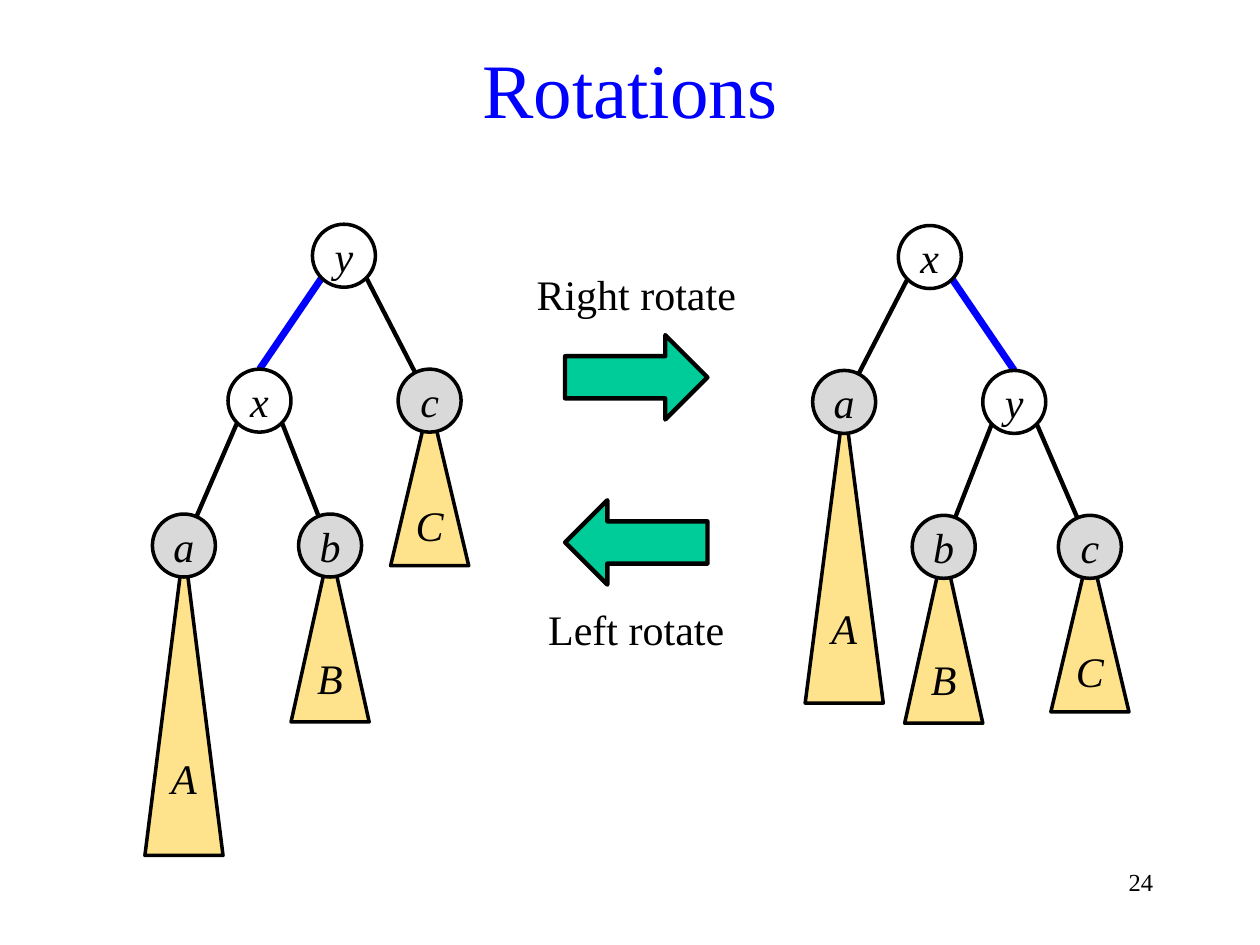
from dataclasses import dataclass

from lxml.etree import SubElement
from pptx import Presentation
from pptx.dml.color import RGBColor
from pptx.enum.shapes import MSO_CONNECTOR, MSO_SHAPE
from pptx.enum.text import MSO_ANCHOR, PP_ALIGN
from pptx.oxml.ns import qn
from pptx.util import Inches, Pt


@dataclass(frozen=True)
class Theme:
    """Colours, type sizes and line widths of the slide."""
    font: str = "Times New Roman"
    ink: RGBColor = RGBColor(0, 0, 0)
    blue: RGBColor = RGBColor(0, 0, 255)
    green: RGBColor = RGBColor(0, 0xCC, 0x99)
    gold: RGBColor = RGBColor(0xFF, 0xC0, 0)
    gray: RGBColor = RGBColor(0xD9, 0xD9, 0xD9)
    alpha: int = 45
    head: int = 44
    body: int = 24
    foot: int = 14
    thin: float = 2
    edge: float = 2.5
    bold: float = 4


THEME = Theme()
NODE = 0.5
BASE = 0.62


def write(shape, text, size=THEME.body, color=THEME.ink, align=PP_ALIGN.CENTER,
          anchor=MSO_ANCHOR.MIDDLE, slant=False, wrap=True):
    """Put one formatted run into a shape."""
    frame = shape.text_frame
    frame.word_wrap = wrap
    frame.vertical_anchor = anchor
    para = frame.paragraphs[0]
    para.alignment = align
    run = para.add_run()
    run.text = text
    font = run.font
    font.name, font.size, font.italic = THEME.font, Pt(size), slant
    font.color.rgb = color


def draw(slide, kind, box, fill, width):
    """Add an outlined preset shape, hollow when fill is None."""
    shape = slide.shapes.add_shape(kind, *map(Inches, box))
    shape.shadow.inherit = False
    if fill is None:
        shape.fill.background()
    else:
        shape.fill.solid()
        shape.fill.fore_color.rgb = fill
    shape.line.color.rgb = THEME.ink
    shape.line.width = Pt(width)
    return shape


def label(slide, box, text, **style):
    """Add a text box holding one line."""
    write(slide.shapes.add_textbox(*map(Inches, box)), text,
          anchor=MSO_ANCHOR.TOP, **style)


def link(slide, start, end, color, width):
    """Join two points with a straight line."""
    line = slide.shapes.add_connector(
        MSO_CONNECTOR.STRAIGHT, *map(Inches, (*start, *end)))
    line.line.color.rgb = color
    line.line.width = Pt(width)
    SubElement(line._element.spPr, qn("a:effectLst"))


def wedge(slide, spot, text, height):
    """Hang a clear gold subtree from a node centre."""
    x, y = spot
    shape = draw(slide, MSO_SHAPE.ISOSCELES_TRIANGLE,
                 (x - BASE / 2, y, BASE, height), THEME.gold, THEME.thin)
    tint = shape._element.spPr.find(qn("a:solidFill"))[0]
    SubElement(tint, qn("a:alpha"), val=str(THEME.alpha * 1000))
    write(shape, text, slant=True, wrap=False)


def node(slide, spot, text, fill):
    """Centre a named circle on a point."""
    x, y = spot
    shape = draw(slide, MSO_SHAPE.OVAL,
                 (x - NODE / 2, y - NODE / 2, NODE, NODE), fill, THEME.thin)
    frame = shape.text_frame
    frame.margin_left = frame.margin_right = 0
    frame.margin_top = frame.margin_bottom = 0
    write(shape, text, slant=True, wrap=False)


def tree(slide, box, names, depths, flip=False):
    """Draw root, pivot, outer, inner and far nodes, mirrored on request."""
    left, top, width, _ = box
    plan = ((1.58, 0), (0.91, 1), (0.31, 2), (1.47, 2), (2.26, 1))
    spots = [(left + (width - x if flip else x), top + NODE / 2 + 1.15 * row)
             for x, row in plan]
    root, pivot, outer, inner, far = spots
    for spot, name, depth in zip(spots[2:], names[2:], depths):
        wedge(slide, spot, name.upper(), depth)
    for high, low in ((root, pivot), (root, far), (pivot, outer), (pivot, inner)):
        main = low is pivot
        side = 0.18 if low[0] > high[0] else -0.18
        start = (high[0] + side, high[1] + 0.18)
        end = (low[0], low[1] - (NODE / 2 if main else 0))
        link(slide, start, end, THEME.blue if main else THEME.ink,
             THEME.bold if main else THEME.edge)
    for rank, (spot, name) in enumerate(zip(spots, names)):
        node(slide, spot, name, THEME.gray if rank > 1 else None)


def turns(slide, box):
    """Draw the two opposed arrows with their labels."""
    left, top, width, height = box
    long, tall, line = 1.13, 0.67, 0.5
    rows = (("Right rotate", 0, 0.58, 0),
            ("Left rotate", height - line, 1.89, 180))
    for text, drop, fall, angle in rows:
        arrow = draw(slide, MSO_SHAPE.RIGHT_ARROW,
                     (left + (width - long) / 2, top + fall, long, tall),
                     THEME.green, THEME.edge)
        arrow.rotation = angle
        label(slide, (left, top + drop, width, line), text)


def title(slide, box, text):
    """Move and fill the title placeholder."""
    shape = slide.shapes.title
    shape.left, shape.top, shape.width, shape.height = map(Inches, box)
    write(shape, text, size=THEME.head, color=THEME.blue)


def main():
    """Build and save the slide."""
    deck = Presentation()
    deck.slide_width, deck.slide_height = Inches(10), Inches(7.5)
    slide = deck.slides.add_slide(deck.slide_layouts[5])
    title(slide, (0, 0.07, 10, 1.25), "Rotations")
    turns(slide, (4.16, 2.08, 1.78, 3.16))
    tree(slide, (1.15, 1.78, 2.58, 5.01), "yxabc", (2.46, 1.4, 1.31))
    tree(slide, (6.39, 1.79, 2.57, 3.95), "xycba", (1.31, 1.4, 2.39), flip=True)
    label(slide, (7.17, 6.83, 2.08, 0.5), "24", size=THEME.foot,
          align=PP_ALIGN.RIGHT)
    deck.save("out.pptx")


if __name__ == "__main__":
    main()
